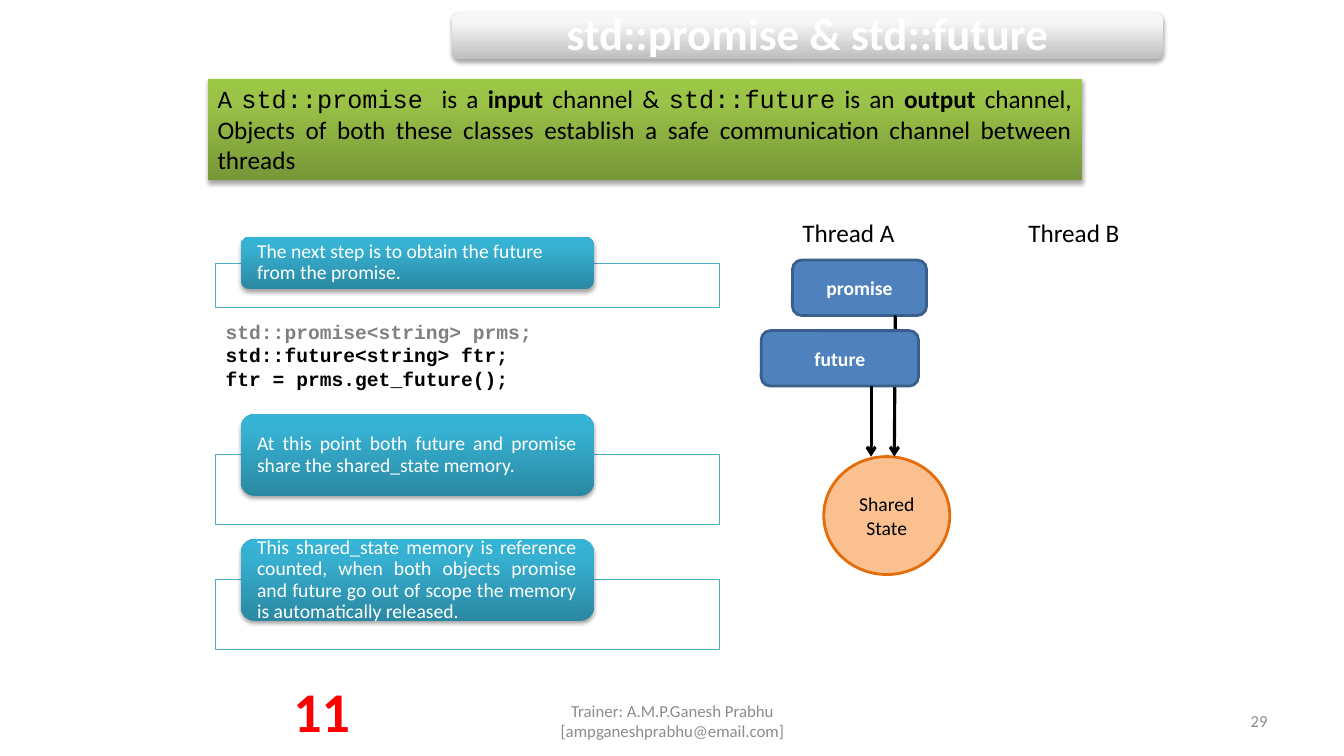
from copy import deepcopy
from lxml.etree import SubElement as Sub
from pptx import Presentation
from pptx.dml.color import RGBColor as Rgb
from pptx.enum.shapes import MSO_CONNECTOR as Conn, MSO_SHAPE as Geo
from pptx.enum.text import MSO_ANCHOR as Anchor, PP_ALIGN as Align
from pptx.oxml.ns import qn
from pptx.util import Pt

PX = 9144  # 100 px to the inch
HUES = {
    "white": "FFFFFF", "black": "000000", "grey": "8C8C8C", "dim": "808080",
    "red": "FF0000", "blue": "4F81BD", "navy": "3A5F8C",
    "peach": "FAC090", "rust": "E46C0A", "aqua": "4BACC6",
}
BLENDS = {
    "silver": ("BEBEBE", "F7F7F7", "F8F8F8"),
    "green": ("779737", "9BC348", "9DC746"),
    "teal": ("2A88A2", "37B1D2", "34B4D6"),
}
SANS, MONO = "Calibri", "Courier New"


def hue(name):
    return Rgb.from_string(HUES[name])


def emu(*nums):
    return [n * PX for n in nums]


def write(shape, lines, size, color="black", align=Align.LEFT,
          anchor=Anchor.TOP, pads=(10, 5), space=None):
    """Fill a shape with lines; each line is a list of (text, font, bold)."""
    frame = shape.text_frame
    frame.word_wrap = True
    frame.vertical_anchor = anchor
    frame.margin_left = frame.margin_right = pads[0] * PX
    frame.margin_top = frame.margin_bottom = pads[1] * PX
    for i, line in enumerate(lines):
        para = frame.add_paragraph() if i else frame.paragraphs[0]
        para.alignment = align
        if space:
            para.line_spacing = space
        for text, face, bold in line:
            run = para.add_run()
            run.text = text
            run.font.name, run.font.bold = face, bold
            run.font.size = Pt(size)
            run.font.color.rgb = hue(color)


def label(slide, box, text, size, color="black", bold=False, **style):
    shape = slide.shapes.add_textbox(*emu(*box))
    write(shape, [[(text, SANS, bold)]], size, color, **style)


def solid(slide, geo, box, fill, line, width):
    shape = slide.shapes.add_shape(geo, *emu(*box))
    shape.shadow.inherit = False
    shape.fill.solid()
    shape.fill.fore_color.rgb = hue(fill)
    shape.line.color.rgb = hue(line)
    shape.line.width = Pt(width)
    return shape


def glossy(slide, geo, box, blend):
    """Draw a shape with a three-stop upward gradient and a soft shadow."""
    shape = slide.shapes.add_shape(geo, *emu(*box))
    shape.line.fill.background()
    shape.fill.gradient()
    shape.fill.gradient_angle = 90
    props = shape._element.spPr
    stops = props.find(qn("a:gradFill")).find(qn("a:gsLst"))
    stops.append(deepcopy(stops[-1]))
    marks = zip(shape.fill.gradient_stops, (0, 0.8, 1), BLENDS[blend])
    for stop, place, color in marks:
        stop.position = place
        stop.color.rgb = Rgb.from_string(color)
    shape.shadow.inherit = False
    shade = Sub(props.find(qn("a:effectLst")), qn("a:outerShdw"),
                blurRad=str(Pt(3.1)), dist=str(Pt(1.8)),
                dir="5400000", rotWithShape="0")
    tint = Sub(shade, qn("a:srgbClr"), val=HUES["black"])
    Sub(tint, qn("a:alpha"), val="35000")
    return shape


def node(slide, geo, box, text, fill, line, color, bold):
    shape = solid(slide, geo, box, fill, line, 2)
    write(shape, [[(text, SANS, bold)]], 14, color,
          Align.CENTER, Anchor.MIDDLE)


def arrow(slide, start, end):
    link = slide.shapes.add_connector(Conn.STRAIGHT, *emu(*start, *end))
    link.line.color.rgb = hue("black")
    link.line.width = Pt(2.25)
    Sub(link.line._get_or_add_ln(), qn("a:tailEnd"), type="arrow")
    Sub(link._element.spPr, qn("a:effectLst"))


def step(slide, top, high, frame, text, align):
    """Draw a teal pill over an outlined frame, given as (top, height)."""
    back = solid(slide, Geo.RECTANGLE, (214, frame[0], 500, frame[1]),
                 "white", "aqua", 0.75)
    tint = back._element.spPr.find(qn("a:solidFill"))[0]
    Sub(tint, qn("a:alpha"), val="90000")
    glossy(slide, Geo.ROUNDED_RECTANGLE, (239, top, 350, high), "teal")
    label(slide, (242, top + 3, 343, high - 6), text, 14, "white",
          align=align, anchor=Anchor.MIDDLE, pads=(13, 0), space=0.9)


def header(slide):
    glossy(slide, Geo.ROUNDED_RECTANGLE, (448, 12, 706, 47), "silver")
    label(slide, (450, 15, 702, 42), "std::promise & std::future", 32,
          "white", True, align=Align.CENTER, anchor=Anchor.MIDDLE,
          pads=(13, 13), space=0.9)
    intro = glossy(slide, Geo.RECTANGLE, (206, 78, 867, 101), "green")
    write(intro, [[
        ("A ", SANS, False), ("std::promise ", MONO, False),
        ("is a ", SANS, False), ("input", SANS, True),
        (" channel & ", SANS, False), ("std::future", MONO, False),
        (" is an ", SANS, False), ("output", SANS, True),
        (" channel, Objects of both these classes establish a safe "
         "communication channel between threads", SANS, False),
    ]], 18, align=Align.JUSTIFY)


def diagram(slide):
    for left, name in ((786, "Thread A"), (1010, "Thread B")):
        label(slide, (left, 211, 125, 40), name, 18)
    node(slide, Geo.OVAL, (817, 453, 125, 117), "Shared State",
         "peach", "rust", "black", False)
    ends = (
        ("promise", (786, 258, 133, 55), (888, 313), (887, 453)),
        ("future", (755, 328, 156, 55), (864, 383), (864, 453)),
    )
    for name, box, start, end in ends:
        node(slide, Geo.ROUNDED_RECTANGLE, box, name,
             "blue", "navy", "white", True)
        arrow(slide, start, end)


def steps(slide):
    step(slide, 235, 52, (261, 44),
         "The next step is to obtain the future from the promise.",
         Align.LEFT)
    step(slide, 411, 81, (451, 69),
         "At this point both future and promise share the shared_state "
         "memory.", Align.JUSTIFY)
    step(slide, 535, 81, (575, 69),
         "This shared_state memory is reference counted, when both objects "
         "promise and future go out of scope the memory is automatically "
         "released.", Align.JUSTIFY)


def code(slide):
    box = slide.shapes.add_textbox(*emu(214, 312, 516, 81))
    lines = ("std::promise<string> prms;", "std::future<string> ftr;",
             "ftr = prms.get_future();")
    write(box, [[(line, MONO, True)] for line in lines], 14)
    first = box.text_frame.paragraphs[0].runs[0]
    first.font.color.rgb = hue("dim")


def footer(slide):
    label(slide, (456, 695, 422, 40),
          "Trainer: A.M.P.Ganesh Prabhu [ampganeshprabhu@email.com]",
          12, "grey", align=Align.CENTER, anchor=Anchor.MIDDLE)
    label(slide, (956, 695, 311, 40), "29", 12, "grey",
          align=Align.RIGHT, anchor=Anchor.MIDDLE)
    label(slide, (280, 666, 78, 77), "11", 40, "red", True,
          align=Align.CENTER)


def main():
    deck = Presentation()
    deck.slide_width, deck.slide_height = emu(1333, 750)
    slide = deck.slides.add_slide(deck.slide_layouts[6])
    header(slide)
    diagram(slide)
    steps(slide)
    code(slide)
    footer(slide)
    deck.save("out.pptx")


if __name__ == "__main__":
    main()
